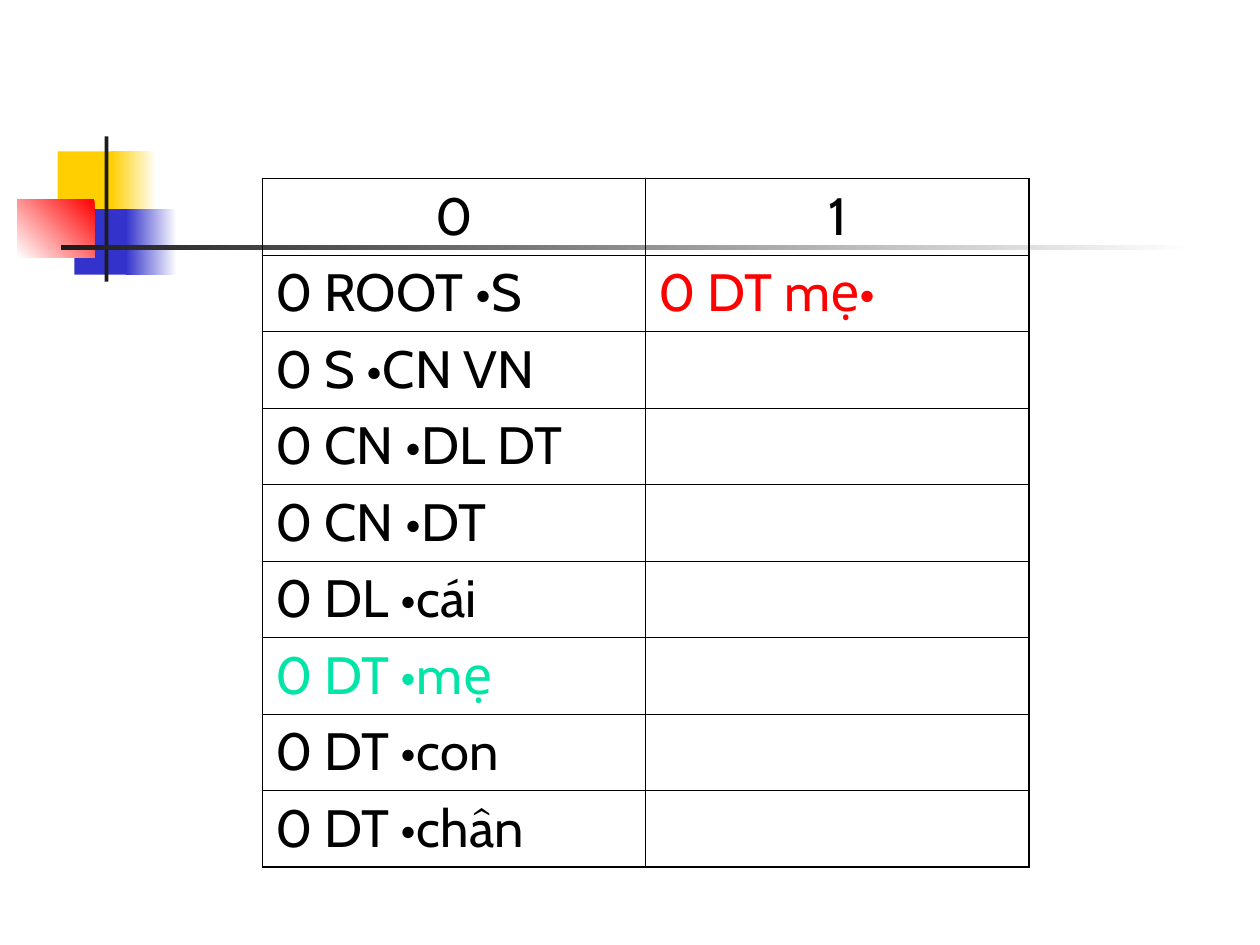
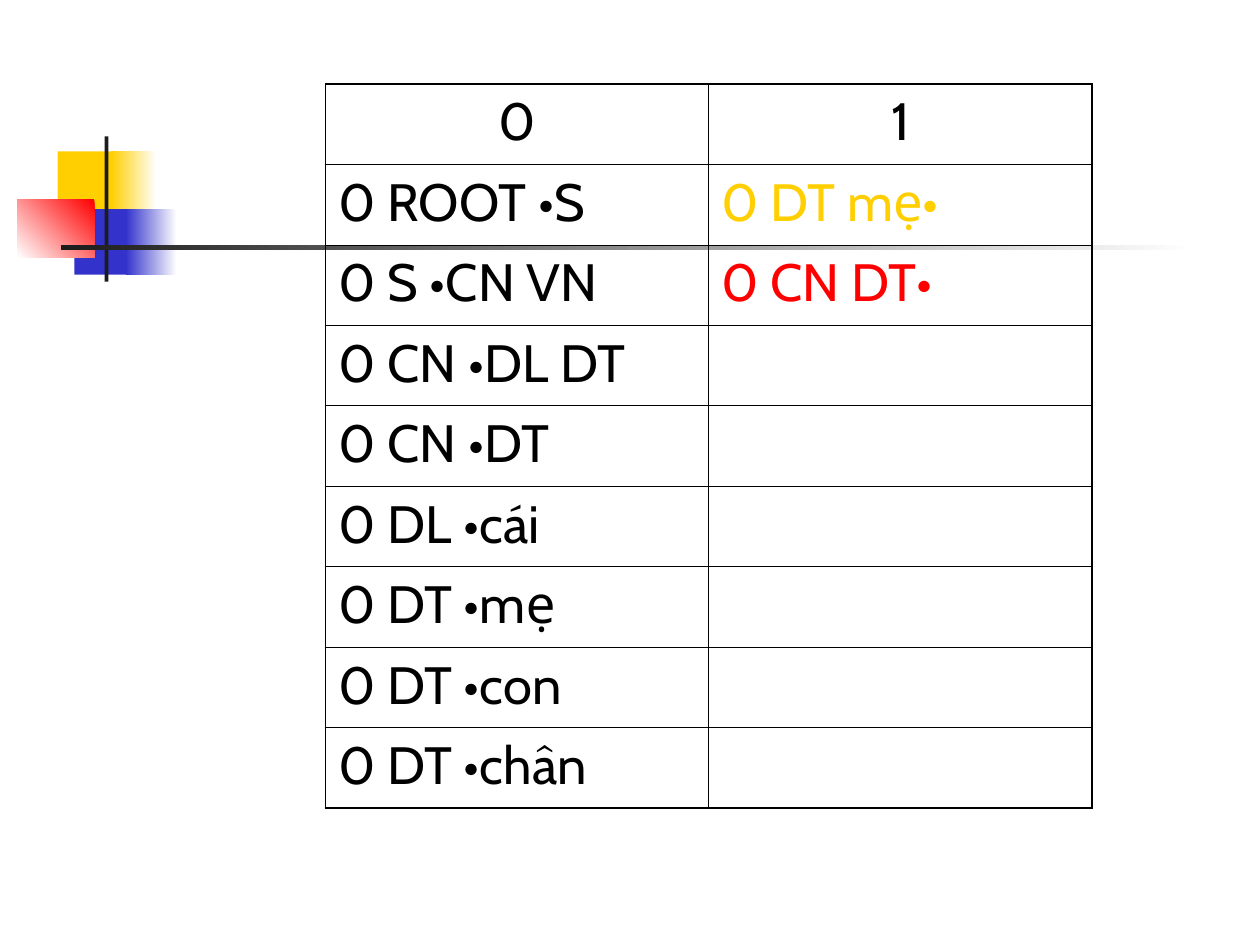
from lxml.etree import SubElement as Sub
from pptx import Presentation
from pptx.dml.color import RGBColor as Rgb
from pptx.enum.shapes import MSO_SHAPE as Shape
from pptx.enum.text import PP_ALIGN as Align
from pptx.oxml.ns import qn
from pptx.util import Pt

HUES = {
    "white": "FFFFFF", "black": "000000", "dark": "1C1C1C",
    "gold": "FFCF01", "blue": "3333CC", "red": "FF0000", "green": "00E4A8",
}
FONT = "Cabin"
THIN, THICK = 0.45, 1.08
COL = 219

# Left, top, width, height, then one colour, or two colours and an angle
DECOR = [
    (33, 86.5, 34.5, 37.5, "gold"),
    (63.5, 86.5, 26, 37.5, "white", "gold", 180),
    (42.5, 119.5, 33, 37.5, "blue"),
    (72, 119.5, 29, 37.5, "white", "blue", 180),
    (10, 114, 44, 33, "red", "white", 225),
    (59.8, 78, 2.2, 83, "dark"),
    (34.6, 140.2, 648, 2.4, "white", "dark", 180),
]

# Column 0 is the same chart of rules on both slides
RULES = ["0 ROOT •S", "0 S •CN VN", "0 CN •DL DT", "0 CN •DT",
         "0 DL •cái", "0 DT •mẹ", "0 DT •con", "0 DT •chân"]


def hue(name):
    return Rgb.from_string(HUES[name])


def block(slide, x, y, w, h, *paint):
    box = slide.shapes.add_shape(Shape.RECTANGLE, Pt(x), Pt(y), Pt(w), Pt(h))
    box.shadow.inherit = False
    box.line.fill.background()
    if len(paint) == 1:
        box.fill.solid()
        box.fill.fore_color.rgb = hue(paint[0])
        return
    box.fill.gradient()
    box.fill.gradient_angle = paint[2]
    for stop, name in zip(box.fill.gradient_stops, paint):
        stop.color.rgb = hue(name)


def write(frame, text, color="black", align=Align.LEFT, size=30):
    par = frame.paragraphs[0]
    par.alignment = align
    par.space_before = Pt(7.5)
    run = par.add_run()
    run.text = text
    run.font.name = FONT
    run.font.size = Pt(size)
    run.font.color.rgb = hue(color)


def edge(cell, side, width):
    line = Sub(cell._tc.get_or_add_tcPr(), qn("a:ln" + side), w=str(Pt(width)))
    fill = Sub(line, qn("a:solidFill"))
    Sub(fill, qn("a:srgbClr"), val=HUES["black"])


def grid(slide, x, y, high, found, marks):
    """Draw the parse chart; marks gives colours by row and column."""
    rows = [("0", "1")]
    for i, rule in enumerate(RULES):
        rows.append((rule, found[i] if i < len(found) else ""))
    last = len(rows) - 1
    table = slide.shapes.add_table(len(rows), 2, Pt(x), Pt(y),
                                   Pt(2 * COL), Pt(high * len(rows))).table
    table.first_row = table.horz_banding = False
    for col in table.columns:
        col.width = Pt(COL)
    for r, row in enumerate(rows):
        table.rows[r].height = Pt(high)
        for c, text in enumerate(row):
            cell = table.cell(r, c)
            # Outer edges are thick, inner ones thin
            outer = {"L": c == 0, "R": c == 1, "T": r == 0, "B": r == last}
            for side, out in outer.items():
                edge(cell, side, THICK if out else THIN)
            cell.fill.background()
            if text:
                write(cell.text_frame, text,
                      color=marks.get((r, c), "black"),
                      align=Align.LEFT if r else Align.CENTER)


def page(deck):
    slide = deck.slides.add_slide(deck.slide_layouts[6])
    for item in DECOR:
        block(slide, *item)
    return slide


def main():
    deck = Presentation()
    deck.slide_width, deck.slide_height = Pt(720), Pt(540)

    # Slide 1: the word is read
    grid(page(deck), 150, 102, 43.1, ["0 DT mẹ•"],
         {(1, 1): "red", (6, 0): "green"})

    # Slide 2: the subject is complete
    grid(page(deck), 186, 48, 46, ["0 DT mẹ•", "0 CN DT•"],
         {(1, 1): "gold", (2, 1): "red"})

    deck.save("out.pptx")


main()
